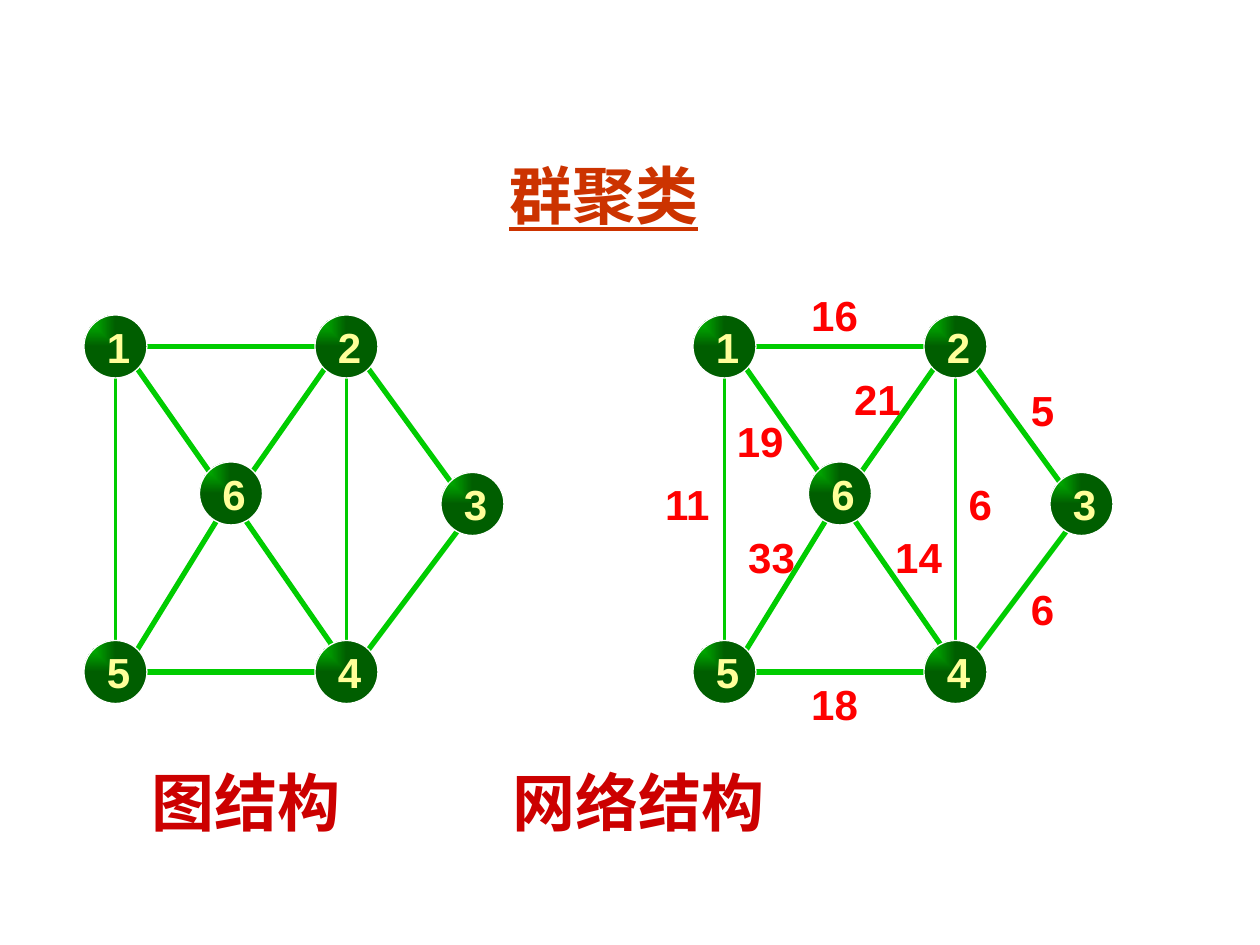
"""Build a slide that sets a graph beside a weighted network."""
from pptx import Presentation
from pptx.dml.color import RGBColor
from pptx.enum import shapes, text
from pptx.oxml.ns import qn
from pptx.util import Pt
from lxml import etree

EDGE_GREEN = RGBColor(0x00, 0xCC, 0x00)
NODE_GREEN = RGBColor(0x00, 0x5E, 0x00)
NODE_YELLOW = RGBColor(0xFF, 0xFF, 0x99)
WEIGHT_RED = RGBColor(0xFF, 0x00, 0x00)
CAPTION_RED = RGBColor(0xCC, 0x00, 0x00)
TITLE_ORANGE = RGBColor(0xCC, 0x33, 0x00)
WHITE = RGBColor(0xFF, 0xFF, 0xFF)
CHINESE_FONT = "Noto Sans CJK SC"

TITLE = "群聚类"
CAPTION = "图结构\t网络结构"
CAPTION_TAB = 206
NODE_SIZE = 36
NODES = {
    "1": (48, 180), "2": (180, 180), "3": (252, 270),
    "4": (180, 366), "5": (48, 366), "6": (114, 264),
}
# fmt: (start, end, line width, weight, weight position)
EDGES = [
    ((186, 210), (144, 270), 3, "21", (133, 210)),
    ((264, 300), (210, 372), 3, "6", (234, 330)),
    ((126, 294), (78, 372), 3, "33", (72.5, 300)),
    ((138, 294), (192, 372), 3, "14", (156.5, 300)),
    ((66, 216), (66, 366), 2.25, "11", (25, 270)),
    ((84, 384), (180, 384), 3, "18", (108.5, 384)),
    ((84, 198), (180, 198), 3, "16", (108.5, 162)),
    ((210, 210), (258, 276), 3, "5", (234, 216)),
    ((78, 210), (120, 270), 3, "19", (66, 234)),
    ((198, 216), (198, 366), 2.25, "6", (198.5, 270)),
]
GRAPHS = [(0, False), (348, True)]


def write(box, words, *, size, color, font="Arial", east=None, underline=None,
          align=None, wrap=False):
    frame = box.text_frame
    frame.word_wrap = wrap
    para = frame.paragraphs[0]
    para.alignment = align
    span = para.add_run()
    span.text = words
    span.font.size = Pt(size)
    span.font.name = font
    span.font.bold = True
    span.font.underline = underline
    span.font.color.rgb = color
    if east:
        latin = span.font._element.find(qn("a:latin"))
        face = etree.Element(qn("a:ea"), typeface=east)
        latin.addnext(face)
    return para


def add_number(page, words, left, top, color):
    width = 28 if len(words) == 1 else 41
    box = page.shapes.add_textbox(Pt(left), Pt(top), Pt(width), Pt(36))
    box.text_frame.auto_size = text.MSO_AUTO_SIZE.SHAPE_TO_FIT_TEXT
    write(box, words, size=24, color=color)


def add_edge(page, start, end, width, shift):
    edge = page.shapes.add_connector(
        shapes.MSO_CONNECTOR.STRAIGHT,
        Pt(start[0] + shift), Pt(start[1]), Pt(end[0] + shift), Pt(end[1]))
    edge.line.color.rgb = EDGE_GREEN
    edge.line.width = Pt(width)
    etree.SubElement(edge._element.spPr, qn("a:effectLst"))


def add_node(page, name, left, top):
    node = page.shapes.add_shape(
        shapes.MSO_SHAPE.OVAL, Pt(left), Pt(top), Pt(NODE_SIZE), Pt(NODE_SIZE))
    node.shadow.inherit = False
    node.line.color.rgb = WHITE
    node.line.width = Pt(0.75)
    node.fill.gradient()
    for stop, color in zip(node.fill.gradient_stops, (EDGE_GREEN, NODE_GREEN)):
        stop.color.rgb = color
    gradient = node._element.spPr.find(qn("a:gradFill"))
    gradient.remove(gradient.find(qn("a:lin")))
    corner = etree.SubElement(gradient, qn("a:path"), {"path": "rect"})
    etree.SubElement(corner, qn("a:fillToRect"), r="100000", b="100000")
    add_number(page, name, left + 6, top, NODE_YELLOW)


deck = Presentation()
deck.slide_width, deck.slide_height = Pt(720), Pt(540)
page = deck.slides.add_slide(deck.slide_layouts[5])

title = page.shapes.title
title.left, title.top, title.width, title.height = Pt(270), Pt(78), Pt(150), Pt(66)
title.text_frame.vertical_anchor = text.MSO_ANCHOR.MIDDLE
write(title, TITLE, size=36, color=TITLE_ORANGE, font="Times New Roman",
      east=CHINESE_FONT, underline=True, align=text.PP_ALIGN.CENTER, wrap=True)

caption = page.shapes.add_textbox(Pt(78), Pt(432), Pt(487.5), Pt(52.5))
frame = caption.text_frame
frame.margin_left = frame.margin_right = Pt(8.64)
frame.margin_top = frame.margin_bottom = Pt(4.32)
para = write(caption, CAPTION, size=36, color=CAPTION_RED, font=CHINESE_FONT,
             east=CHINESE_FONT, wrap=True)
tabs = etree.SubElement(para._element.get_or_add_pPr(), qn("a:tabLst"))
etree.SubElement(tabs, qn("a:tab"), pos=str(Pt(CAPTION_TAB)), algn="l")

for shift, weighted in GRAPHS:
    for start, end, width, weight, place in EDGES:
        add_edge(page, start, end, width, shift)
    for name, (left, top) in NODES.items():
        add_node(page, name, left + shift, top)
    if weighted:
        for start, end, width, weight, (left, top) in EDGES:
            add_number(page, weight, left + shift, top, WEIGHT_RED)

deck.save("out.pptx")
